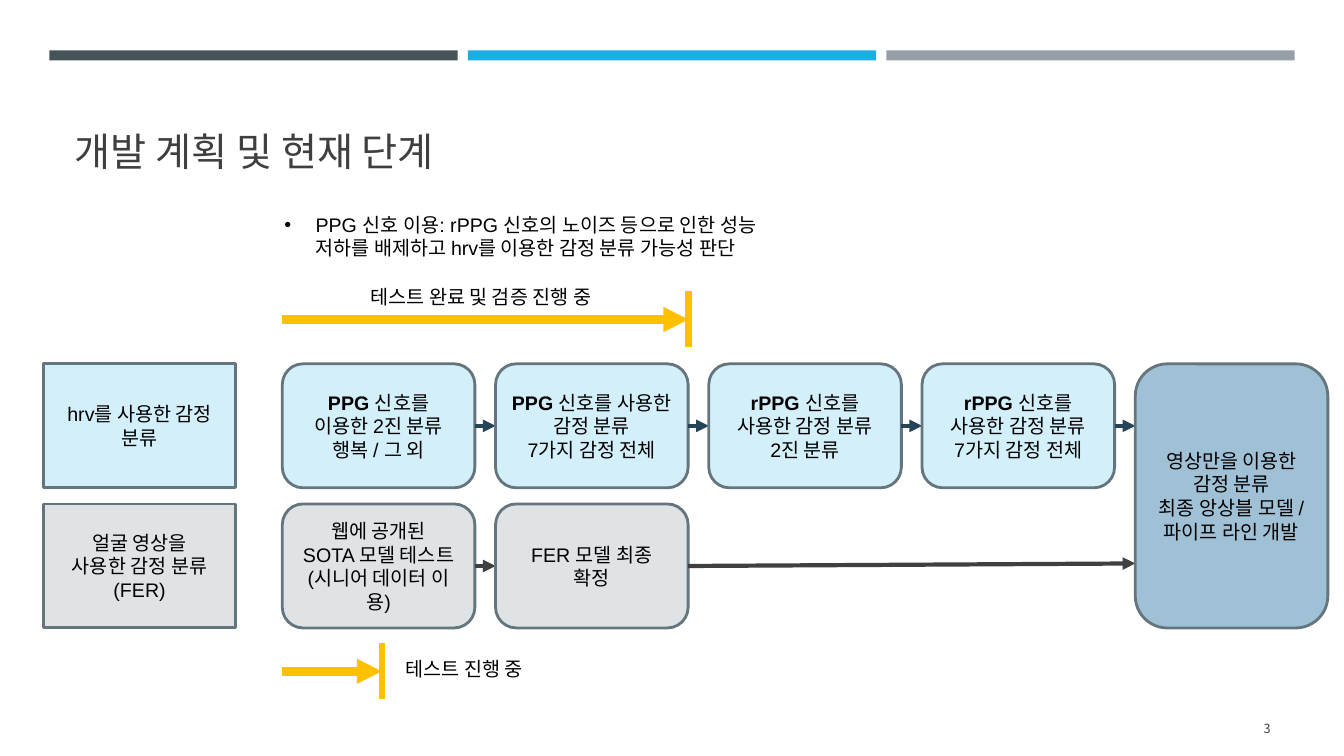
from lxml import etree
from pptx import Presentation
from pptx import util as u
from pptx.dml.color import RGBColor
from pptx.enum import shapes, text
from pptx.oxml import ns

LATIN, KOREAN = "Arial", "Noto Sans CJK KR"
BLUE, GREY, STEEL, OUTLINE = "D2EFFA", "DFE3E5", "A0C1D5", "65757D"
NAVY, CHARCOAL, AMBER = "264457", "404040", "FFC000"

TITLE = "개발 계획 및 현재 단계"
NOTE = "PPG 신호 이용: rPPG 신호의 노이즈 등으로 인한 성능 저하를 배제하고 hrv를 이용한 감정 분류 가능성 판단"
PAGE_NUMBER = "3"
BARS = ["465359", "1CADE4", "969FA7"]
TRACKS = [
    (BLUE, NAVY, ["hrv를 사용한 감정 분류"], [
        ["PPG |신호를", "이용한 2진 분류", "행복 / 그 외"],
        ["PPG |신호를 사용한 감정 분류", "7가지 감정 전체"],
        ["rPPG |신호를 사용한 감정 분류", "2진 분류"],
        ["rPPG |신호를 사용한 감정 분류", "7가지 감정 전체"],
    ]),
    (GREY, CHARCOAL, ["얼굴 영상을", "사용한 감정 분류", "(FER)"], [
        ["웹에 공개된", "SOTA 모델 테스트 (시니어 데이터 이용)"],
        ["FER 모델 최종 확정"],
    ]),
]
GOAL = ["영상만을 이용한", "감정 분류", "최종 앙상블 모델 / 파이프 라인 개발"]
PROGRESS = [
    ("테스트 완료 및 검증 진행 중", (2.71, 2.78, 4.12, 0.34), 3.17, 6.83),
    ("테스트 진행 중", (3.65, 6.47, 1.91, 0.34), 6.66, 3.79),
]

LABEL_LEFT, FIRST_LEFT, COLUMN_STEP = 0.43, 2.8, 2.115
FIRST_TOP, ROW_STEP = 3.61, 1.39
BOX_WIDTH, BOX_HEIGHT = 1.91, 1.23
GOAL_LEFT = FIRST_LEFT + 4 * COLUMN_STEP


def color(value):
    return RGBColor.from_string(value)


def inches(*values):
    return [u.Inches(value) for value in values]


def style(para, size, tint, latin=LATIN, align=text.PP_ALIGN.LEFT):
    para.alignment = align
    for span in para.runs:
        span.font.size = u.Pt(size)
        span.font.color.rgb = color(tint)
        span.font.name = latin
        korean = etree.SubElement(span.font._element, ns.qn("a:ea"))
        korean.set("typeface", KOREAN)


def write(frame, lines):
    frame.word_wrap = True
    frame.text = "\n".join(lines)
    for para, line in zip(frame.paragraphs, lines):
        lead, mark, rest = line.partition("|")
        if mark:
            para.text = lead
            para.runs[0].font.bold = True
            para.add_run().text = rest
        style(para, 14, "000000", align=text.PP_ALIGN.CENTER)


def place(holder, area):
    holder.left, holder.top, holder.width, holder.height = inches(*area)
    holder.text_frame.auto_size = text.MSO_AUTO_SIZE.NONE
    holder.text_frame.word_wrap = True


def add_box(page, kind, area, fill, outline=None, lines=()):
    box = page.shapes.add_shape(kind, *inches(*area))
    box.shadow.inherit = False
    box.fill.solid()
    box.fill.fore_color.rgb = color(fill)
    if outline:
        box.line.color.rgb = color(outline)
        box.line.width = u.Pt(2)
        box.text_frame.vertical_anchor = text.MSO_ANCHOR.MIDDLE
        write(box.text_frame, lines)
    else:
        box.line.fill.background()


def add_line(page, start, end, tint, width, arrow=True):
    line = page.shapes.add_connector(
        shapes.MSO_CONNECTOR.STRAIGHT, *inches(*start, *end))
    line.line.color.rgb = color(tint)
    line.line.width = u.Pt(width)
    if arrow:
        tip = etree.SubElement(line.line._get_or_add_ln(), ns.qn("a:tailEnd"))
        tip.set("type", "triangle")
    etree.SubElement(line._element.spPr, ns.qn("a:effectLst"))


def add_heading(page):
    for index, tint in enumerate(BARS):
        add_box(page, shapes.MSO_SHAPE.RECTANGLE,
                (0.49 + index * 4.15, 0.5, 4.05, 0.1), tint)
    title = page.shapes.title
    place(title, (0.64, 0.77, 12.06, 1.01))
    title.text_frame.text = TITLE
    title.text_frame.vertical_anchor = text.MSO_ANCHOR.BOTTOM
    style(title.text_frame.paragraphs[0], 28, "3F3F3F", KOREAN)

    note = page.placeholders[1]
    place(note, (2.72, 2.06, 5.35, 0.57))
    note.text_frame.text = NOTE
    para = note.text_frame.paragraphs[0]
    para.space_before = u.Pt(0)
    style(para, 14, "000000")
    layout = para._p.get_or_add_pPr()
    layout.set("marL", str(u.Inches(0.31)))
    layout.set("indent", str(u.Inches(-0.31)))
    etree.SubElement(layout, ns.qn("a:buFont")).set("typeface", LATIN)
    etree.SubElement(layout, ns.qn("a:buChar")).set("char", "•")


def add_tracks(page):
    for row, (fill, tint, label, steps) in enumerate(TRACKS):
        top = FIRST_TOP + row * ROW_STEP
        middle = top + BOX_HEIGHT / 2
        add_box(page, shapes.MSO_SHAPE.RECTANGLE,
                (LABEL_LEFT, top, BOX_WIDTH, BOX_HEIGHT), fill, OUTLINE, label)
        for column, lines in enumerate(steps):
            left = FIRST_LEFT + column * COLUMN_STEP
            right = left + BOX_WIDTH
            last = column == len(steps) - 1
            target = GOAL_LEFT if last else left + COLUMN_STEP
            end = 5.59 if last and row else middle
            add_box(page, shapes.MSO_SHAPE.ROUNDED_RECTANGLE,
                    (left, top, BOX_WIDTH, BOX_HEIGHT), fill, OUTLINE, lines)
            add_line(page, (right, middle), (target, end), tint, 3)
    add_box(page, shapes.MSO_SHAPE.ROUNDED_RECTANGLE,
            (GOAL_LEFT, FIRST_TOP, BOX_WIDTH, ROW_STEP + BOX_HEIGHT),
            STEEL, OUTLINE, GOAL)


def add_progress(page):
    for caption, area, y, stop in PROGRESS:
        add_line(page, (stop, y - 0.28), (stop, y + 0.27), AMBER, 4.5, False)
        add_line(page, (FIRST_LEFT, y), (stop, y), AMBER, 6)
        write(page.shapes.add_textbox(*inches(*area)).text_frame, [caption])


def add_page_number(page):
    frame = page.shapes.add_textbox(*inches(11.55, 7.03, 1.15, 0.4)).text_frame
    frame.word_wrap = True
    frame.vertical_anchor = text.MSO_ANCHOR.MIDDLE
    frame.text = PAGE_NUMBER
    style(frame.paragraphs[0], 9, "3F3F3F", KOREAN, text.PP_ALIGN.RIGHT)


def main():
    deck = Presentation()
    deck.slide_width, deck.slide_height = inches(13.33, 7.5)
    page = deck.slides.add_slide(deck.slide_layouts[1])
    add_heading(page)
    add_tracks(page)
    add_progress(page)
    add_page_number(page)
    deck.save("out.pptx")


if __name__ == "__main__":
    main()
